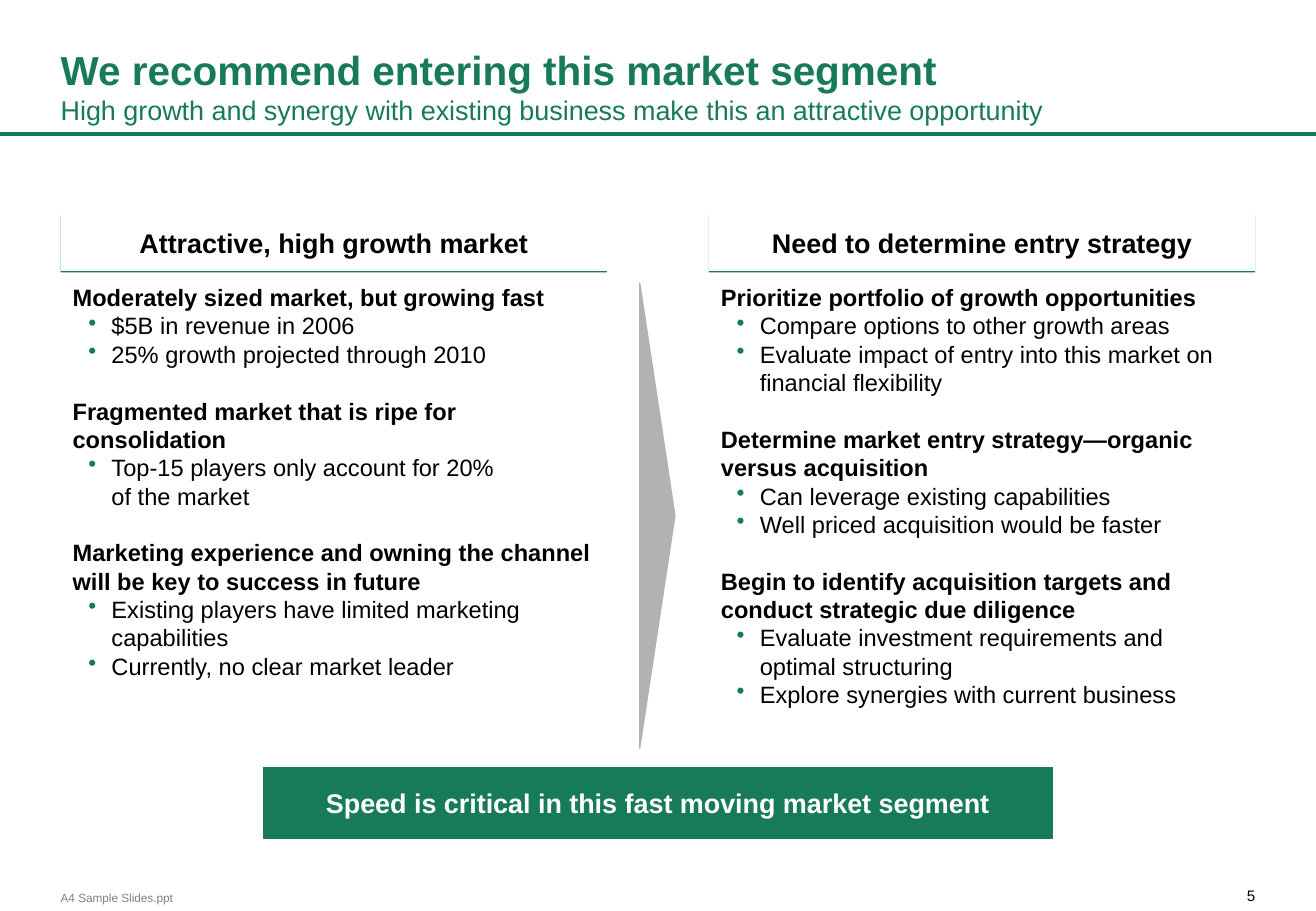
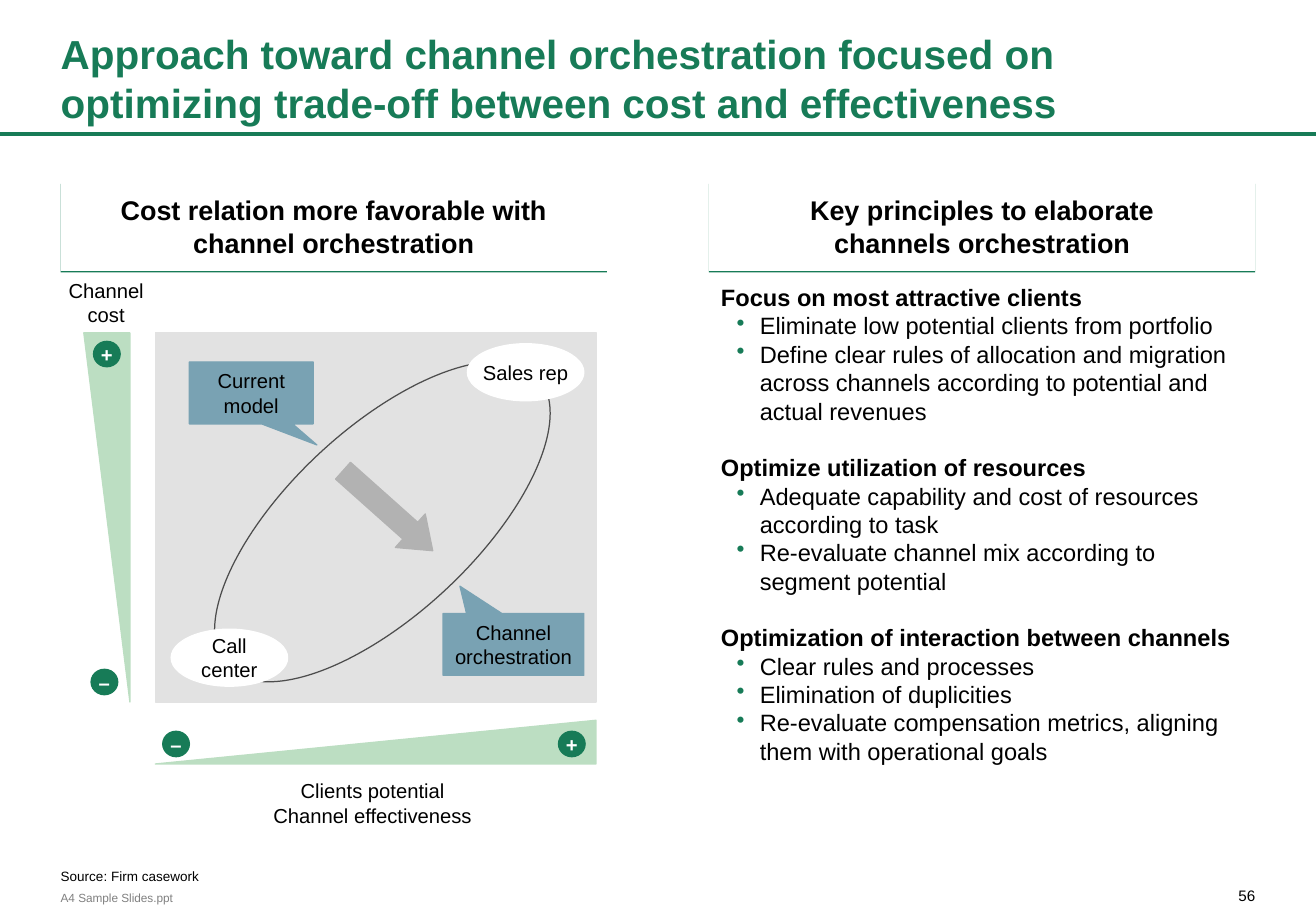
from lxml import etree
from pptx import Presentation
from pptx.dml.color import RGBColor
from pptx.enum import shapes, text
from pptx.oxml import ns
from pptx.util import Inches, Pt


class Theme:
    font = "Arial"
    green, mint, blue = "177B57", "BCDEC2", "79A2B3"
    black, white, dark = "000000", "FFFFFF", "4D4D4D"
    pale, grey, note = "E2E2E2", "B2B2B2", "808080"
    title, head, body, label = 24, 16, 14, 12
    page, source, foot = 9, 8, 7
    gap = 16.8


KIND = shapes.MSO_SHAPE
ALIGN = text.PP_ALIGN
ANCHOR = text.MSO_ANCHOR


def write(frame, lines, size, ink=Theme.black, bold=False, align=ALIGN.CENTER,
          anchor=ANCHOR.MIDDLE, pad=(0, 0), wrap=True):
    look = {"word_wrap": wrap, "auto_size": text.MSO_AUTO_SIZE.NONE,
            "vertical_anchor": anchor,
            "margin_left": Inches(pad[0]), "margin_right": Inches(pad[0]),
            "margin_top": Inches(pad[1]), "margin_bottom": Inches(pad[1])}
    for name, value in look.items():
        setattr(frame, name, value)
    for i, line in enumerate(lines):
        para = frame.paragraphs[0] if i == 0 else frame.add_paragraph()
        para.text = line
        para.alignment = align
        for run in para.runs:
            for name, value in {"name": Theme.font, "size": Pt(size), "bold": bold}.items():
                setattr(run.font, name, value)
            run.font.color.rgb = RGBColor.from_string(ink)


def draw(slide, kind, box, fill=None, line=None, turn=0, adj=()):
    shape = slide.shapes.add_shape(kind, *map(Inches, box))
    shape.shadow.inherit = False
    shape.rotation = turn
    for i, value in enumerate(adj):
        shape.adjustments[i] = value
    if fill:
        shape.fill.solid()
        shape.fill.fore_color.rgb = RGBColor.from_string(fill)
    else:
        shape.fill.background()
    if line:
        shape.line.color.rgb = RGBColor.from_string(line)
        shape.line.width = Pt(0.75)
    else:
        shape.line.fill.background()
    return shape


LEFT, RIGHT, WIDE, TOP = 0.5, 5.84, 4.5, 2.23

pages = [
    {"title": "We recommend entering this market segment",
     "sub": "High growth and synergy with existing business make this an attractive opportunity",
     "page": "5", "tall": 0.47,
     "cols": [
         (LEFT, "Attractive, high growth market", [
             ("Moderately sized market, but growing fast",
              ["$5B in revenue in 2006", "25% growth projected through 2010"]),
             ("Fragmented market that is ripe for consolidation",
              ["Top-15 players only account for 20%\vof the market"]),
             ("Marketing experience and owning the channel will be key to success in future",
              ["Existing players have limited marketing capabilities",
               "Currently, no clear market leader"])]),
         (RIGHT, "Need to determine entry strategy", [
             ("Prioritize portfolio of growth opportunities",
              ["Compare options to other growth areas",
               "Evaluate impact of entry into this market on financial flexibility"]),
             ("Determine market entry strategy—organic versus acquisition",
              ["Can leverage existing capabilities",
               "Well priced acquisition would be faster"]),
             ("Begin to identify acquisition targets and conduct strategic due diligence",
              ["Evaluate investment requirements and optimal structuring",
               "Explore synergies with current business"])])]},
    {"title": "Approach toward channel orchestration focused on "
              "optimizing trade-off between cost and effectiveness",
     "sub": "", "page": "56", "tall": 0.73,
     "cols": [
         (LEFT, "Cost relation more favorable with\vchannel orchestration", []),
         (RIGHT, "Key principles to elaborate\vchannels orchestration", [
             ("Focus on most attractive clients",
              ["Eliminate low potential clients from portfolio",
               "Define clear rules of allocation and migration across channels "
               "according to potential and actual revenues"]),
             ("Optimize utilization of resources",
              ["Adequate capability and cost of resources according to task",
               "Re-evaluate channel mix according to segment potential"]),
             ("Optimization of interaction between channels",
              ["Clear rules and processes", "Elimination of duplicities",
               "Re-evaluate compensation metrics, aligning them with operational goals"])])]},
]

deck = Presentation()
deck.slide_width, deck.slide_height = Inches(10.84), Inches(7.5)
made = []

for page in pages:
    slide = deck.slides.add_slide(deck.slide_layouts[5])
    made.append(slide)

    title = slide.shapes.title
    spot = {"left": 0.5, "top": 0.18, "width": 9.83, "height": 0.91}
    for name, value in spot.items():
        setattr(title, name, Inches(value))
    write(title.text_frame, [page["title"]], Theme.title, Theme.green, True,
          ALIGN.LEFT, ANCHOR.BOTTOM, (0, 0.05))
    if page["sub"]:
        para = title.text_frame.paragraphs[0]
        para.add_line_break()
        run = para.add_run()
        run.text = page["sub"]
        for name, value in {"name": Theme.font, "size": Pt(Theme.head), "bold": False}.items():
            setattr(run.font, name, value)
        run.font.color.rgb = RGBColor.from_string(Theme.green)

    rule = slide.shapes.add_connector(shapes.MSO_CONNECTOR.STRAIGHT,
                                      0, Inches(1.1), deck.slide_width, Inches(1.1))
    rule.line.color.rgb = RGBColor.from_string(Theme.green)
    rule.line.width = Pt(2.25)
    etree.SubElement(rule._element.spPr, ns.qn("a:effectLst"))

    number = slide.shapes.add_textbox(*map(Inches, (10.13, 7.3, 0.21, 0.15)))
    write(number.text_frame, [page["page"]], Theme.page, align=ALIGN.RIGHT,
          anchor=ANCHOR.TOP, wrap=False)
    foot = slide.shapes.add_textbox(*map(Inches, (0.5, 7.33, 0.92, 0.12)))
    write(foot.text_frame, ["A4 Sample Slides.ppt"], Theme.foot, Theme.note,
          align=ALIGN.LEFT, wrap=False)

    for left, head, groups in page["cols"]:
        tall = page["tall"]
        banner = draw(slide, KIND.RECTANGLE, (left, TOP - tall, WIDE, tall), Theme.white)
        write(banner.text_frame, [head], Theme.head, bold=True,
              anchor=ANCHOR.BOTTOM, pad=(0.1, 0.1))
        glow = etree.SubElement(banner._element.spPr.find(ns.qn("a:effectLst")),
                                ns.qn("a:outerShdw"), blurRad="0", dist="12700",
                                dir="5400000", algn="ctr", rotWithShape="0")
        etree.SubElement(glow, ns.qn("a:srgbClr"), val=Theme.green)
        if not groups:
            continue
        column = slide.shapes.add_textbox(*map(Inches, (left, TOP, WIDE, 3.94)))
        lines = [line for lead, points in groups for line in (lead, *points)]
        write(column.text_frame, lines, Theme.body, align=ALIGN.LEFT,
              anchor=ANCHOR.TOP, pad=(0.1, 0.1))
        leads = [lead for lead, points in groups]
        for i, para in enumerate(column.text_frame.paragraphs):
            if lines[i] in leads:
                para.runs[0].font.bold = True
                if i:
                    para.space_before = Pt(Theme.gap)
                continue
            para.level = 1
            props = para._p.get_or_add_pPr()
            props.set("marL", str(Inches(0.32)))
            props.set("indent", str(Inches(-0.19)))
            tint = etree.SubElement(props, ns.qn("a:buClr"))
            etree.SubElement(tint, ns.qn("a:srgbClr"), val=Theme.green)
            etree.SubElement(props, ns.qn("a:buChar"), char="•")

entry, model = made

call = draw(entry, KIND.RECTANGLE, (2.17, 6.32, 6.5, 0.58), Theme.green, Theme.green)
write(call.text_frame, ["Speed is critical in this fast moving market segment"],
      Theme.head, Theme.white, True, pad=(0.1, 0.05))
draw(entry, KIND.ISOSCELES_TRIANGLE, (3.5, 4.1, 3.83, 0.29), Theme.grey, Theme.grey, 90)

source = model.shapes.add_textbox(*map(Inches, (0.5, 6.92, 9.84, 0.36)))
write(source.text_frame, ["Source: Firm casework"], Theme.source,
      align=ALIGN.LEFT, anchor=ANCHOR.BOTTOM)
source.text_frame.paragraphs[0].line_spacing = 0.9

reach = draw(model, KIND.RIGHT_TRIANGLE, (1.28, 5.93, 3.63, 0.36), Theme.mint, Theme.mint)
reach._element.spPr.xfrm.set("flipH", "1")
draw(model, KIND.RIGHT_TRIANGLE, (0.69, 2.74, 0.38, 3.04), Theme.mint, Theme.mint, 180)

for left, top, sign in [(4.6, 6.02, "+"), (0.75, 5.51, "–"),
                        (1.34, 6.02, "–"), (0.77, 2.81, "+")]:
    badge = draw(model, KIND.OVAL, (left, top, 0.22, 0.21), Theme.green, Theme.green)
    write(badge.text_frame, [sign], Theme.label, Theme.white, True,
          pad=(0.1, 0.05), wrap=False)

for box, lines in [((0.54, 2.29, 0.67, 0.4), ["Channel", "cost"]),
                   ((2.25, 6.41, 1.64, 0.4), ["Clients potential", "Channel effectiveness"])]:
    axis = model.shapes.add_textbox(*map(Inches, box))
    write(axis.text_frame, lines, Theme.label, anchor=ANCHOR.TOP, wrap=False)

draw(model, KIND.RECTANGLE, (1.28, 2.74, 3.63, 3.04), Theme.pale, Theme.pale)
draw(model, KIND.OVAL, (1.4, 3.53, 3.5, 1.53), None, Theme.dark, 317)

for left, top, lines in [(1.41, 5.18, ["Call", "center"]), (3.85, 2.83, ["Sales rep"])]:
    end = draw(model, KIND.OVAL, (left, top, 0.96, 0.47), Theme.white, Theme.white)
    write(end.text_frame, lines, Theme.label, wrap=False)

for box, adj, lines in [
        ((1.56, 2.98, 1.02, 0.51), (0.53, 0.84), ["Current", "model"]),
        ((3.65, 5.05, 1.16, 0.51), (-0.38, -0.94), ["Channel orchestration"])]:
    tag = draw(model, KIND.RECTANGULAR_CALLOUT, box, Theme.blue, Theme.blue, adj=adj)
    write(tag.text_frame, lines, Theme.label)

draw(model, KIND.RIGHT_ARROW, (2.7, 4.02, 0.99, 0.37), Theme.grey, Theme.grey,
     41.7, (0.5, 0.67))

deck.save("out.pptx")
